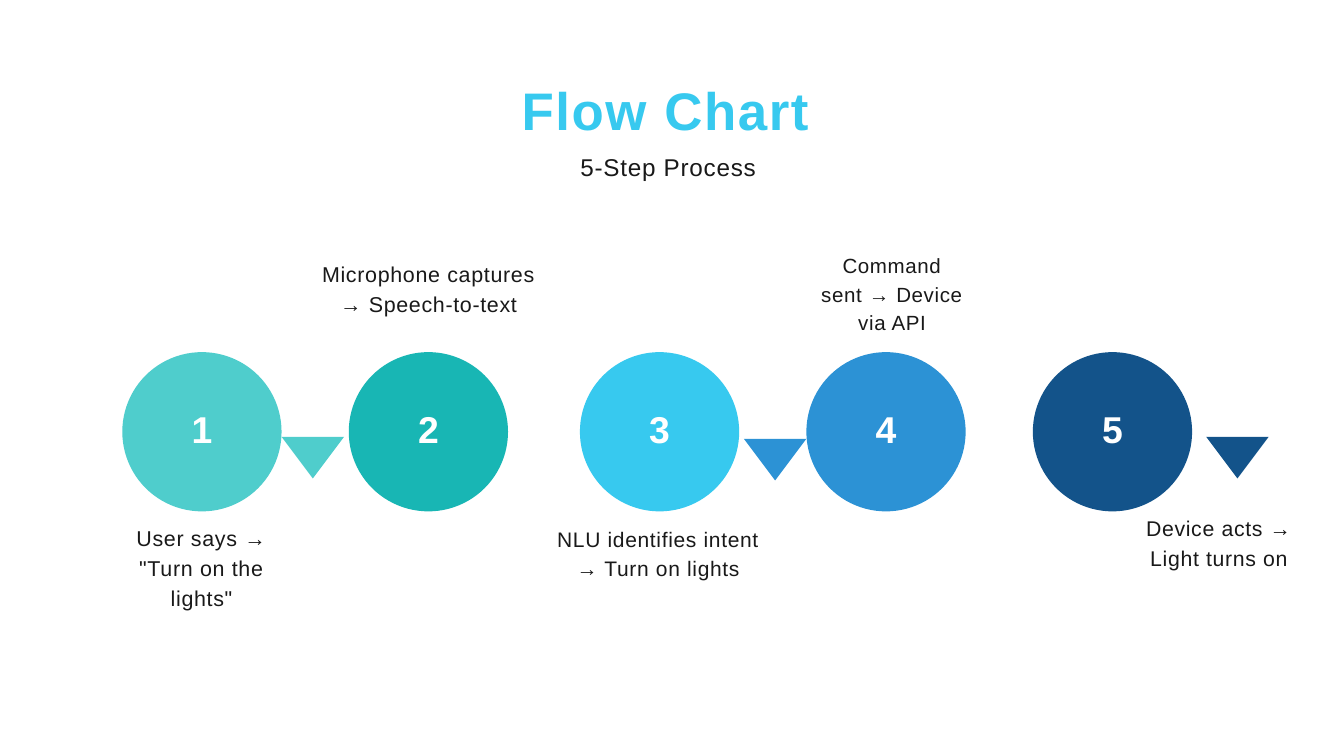
from collections import namedtuple

from pptx import Presentation
from pptx.dml.color import RGBColor
from pptx.enum.shapes import MSO_SHAPE as Preset
from pptx.enum.text import MSO_ANCHOR as Anchor, PP_ALIGN as Align
from pptx.util import Inches, Pt

Box = namedtuple("Box", "left top width height")
# Caption is placed relative to the step's circle; arrow_offset starts at its right-hand corner.
Step = namedtuple("Step", "color caption size caption_box arrow_color arrow_offset")

WIDTH, HEIGHT = 20, 11.25
FONT = "Arial"
COLORS = {
    "aqua": "4FCDCC",
    "teal": "18B6B4",
    "sky": "37C9EF",
    "blue": "2C92D5",
    "navy": "13538A",
    "ink": "191919",
    "white": "FFFFFF",
}

DIAMETER = 2.37
PITCH = 3.37
MIDDLE_SHIFT = 0.07  # the third to fifth steps stand slightly further right
ARROW_WIDTH, ARROW_HEIGHT = 0.93, 0.62

STEPS = [
    Step("aqua", 'User says → "Turn on the lights"', 23,
         Box(-0.21, 2.51, 2.78, 0.86), "aqua", (0, 1.26)),
    Step("teal", "Microphone captures → Speech-to-text", 23,
         Box(-0.41, -1.42, 3.2, 1.3), None, None),
    Step("sky", "NLU identifies intent → Turn on lights", 22.5,
         Box(-0.47, 2.53, 3.27, 0.84), "blue", (0.07, 1.29)),
    Step("blue", "Command sent → Device via API", 22,
         Box(0.2, -1.54, 2.15, 1.26), None, None),
    Step("navy", "Device acts → Light turns on", 22.8,
         Box(1.32, 2.37, 2.9, 0.85), "navy", (0.21, 1.26)),
]


def inches(box):
    return [Inches(length) for length in box]


def rgb(name):
    return RGBColor.from_string(COLORS[name])


def write(shape, text, size, color, tracking, bold=False, anchor=Anchor.TOP):
    """Fill a shape with one centred paragraph, its lines 1.4 times the text size."""
    frame = shape.text_frame
    frame.word_wrap = True
    frame.vertical_anchor = anchor
    frame.margin_left = frame.margin_right = frame.margin_top = frame.margin_bottom = 0
    para = frame.paragraphs[0]
    para.text = text
    para.alignment = Align.CENTER
    para.line_spacing = Pt(round(size * 1.4, 1))
    font = para.font
    font.name, font.size, font.bold = FONT, Pt(size), bold
    font.color.rgb = rgb(color)
    para._p.pPr.get_or_add_defRPr().set("spc", str(round(tracking * 100)))


def add_text(page, box, text, size, tracking):
    write(page.shapes.add_textbox(*inches(box)), text, size, "ink", tracking)


def add_filled(page, preset, box, color):
    shape = page.shapes.add_shape(preset, *inches(box))
    shape.shadow.inherit = False
    shape.fill.solid()
    shape.fill.fore_color.rgb = rgb(color)
    shape.line.fill.background()
    return shape


def add_heading(page, box):
    title = page.shapes.title
    title_width = box.width * 0.35
    title.left, title.top, title.width, title.height = inches(
        (box.left + (box.width - title_width) / 2 - 0.1, box.top, title_width, 1.06))
    write(title, "Flow Chart", 56.6, "sky", 1.7, bold=True)
    add_text(page, Box(box.left, box.top + 1.2, box.width, 0.49),
             "5-Step Process ", 26, 0.8)


def add_step(page, box, number, step):
    """Draw a numbered circle in the box, with its caption and any arrow beside it."""
    if step.arrow_color:
        across, down = step.arrow_offset
        add_filled(page, Preset.FLOWCHART_MERGE,
                   Box(box.left + box.width + across, box.top + down,
                       ARROW_WIDTH, ARROW_HEIGHT), step.arrow_color)
    circle = add_filled(page, Preset.OVAL, box, step.color)
    write(circle, str(number), 40, "white", 1.2, bold=True, anchor=Anchor.MIDDLE)
    circle.text_frame.margin_bottom = Inches(0.22)
    caption = step.caption_box
    add_text(page, Box(box.left + caption.left, box.top + caption.top,
                       caption.width, caption.height), step.caption, step.size, 0.7)


def add_flow(page, box):
    for index, step in enumerate(STEPS):
        left = box.left + index * PITCH + (MIDDLE_SHIFT if index >= 2 else 0)
        add_step(page, Box(left, box.top, DIAMETER, box.height), index + 1, step)


def main():
    deck = Presentation()
    deck.slide_width, deck.slide_height = Inches(WIDTH), Inches(HEIGHT)
    page = deck.slides.add_slide(deck.slide_layouts.get_by_name("Title Only"))
    page.background.fill.solid()
    page.background.fill.fore_color.rgb = rgb("white")
    add_heading(page, Box(3.88, 1, 12.24, 1.69))
    add_flow(page, Box(1.82, 5.24, WIDTH - 2 * 1.82, DIAMETER))
    deck.save("out.pptx")


if __name__ == "__main__":
    main()
